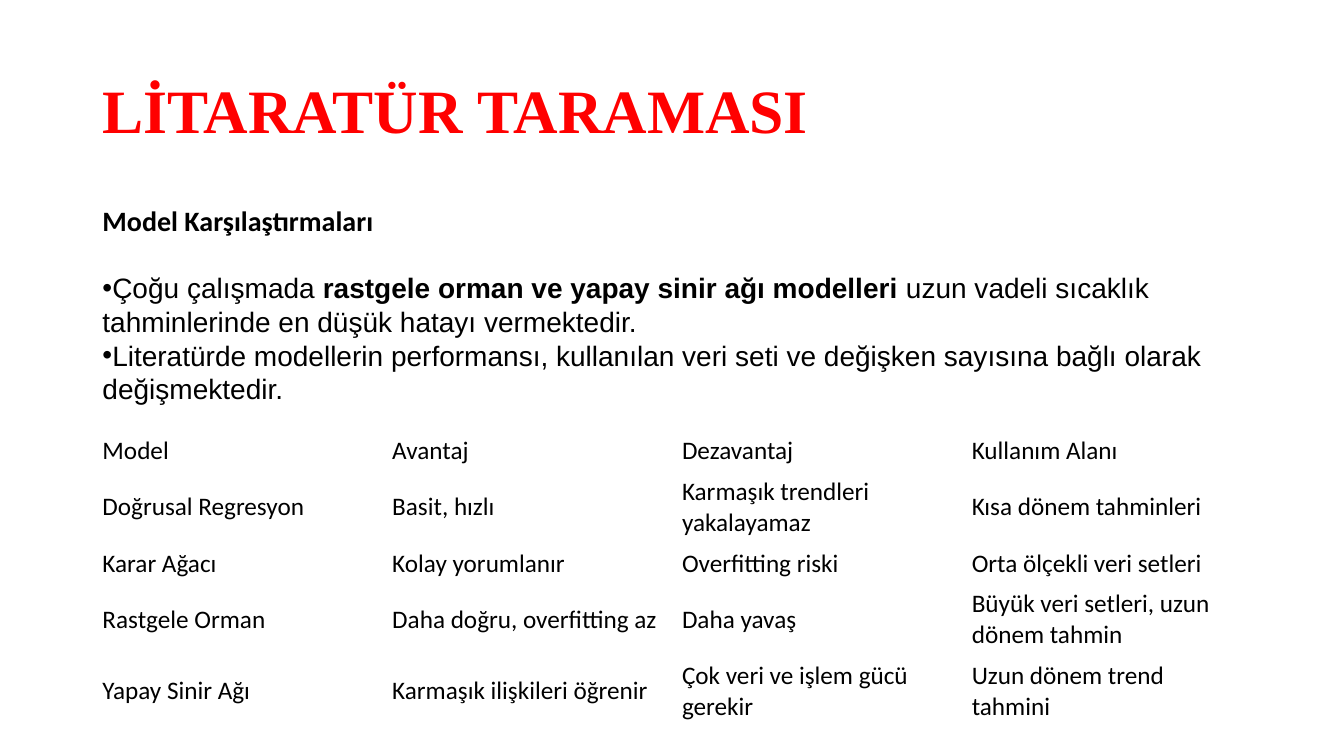
from pptx import Presentation
from pptx import util as u
from pptx.dml.color import RGBColor
from pptx.enum import text
from pptx.oxml.xmlchemy import OxmlElement

COLORS = {"title": "FF0000", "text": "000000"}
LEFT, WIDTH = 66, 828
TITLE_FONT = {"name": "Times New Roman", "size": u.Pt(44), "bold": True}
HEADING_FONT = {"name": "Calibri", "size": u.Pt(20), "bold": True}
BULLET_FONT = {"name": "Arial", "size": u.Pt(20), "bold": False}
CELL_FONT = {"name": "Calibri", "size": u.Pt(18), "bold": False}

HEADING = "Model Karşılaştırmaları"
BULLETS = [
    [("Çoğu çalışmada ", False),
     ("rastgele orman ve yapay sinir ağı modelleri", True),
     (" uzun vadeli sıcaklık tahminlerinde en düşük hatayı vermektedir.", False)],
    [("Literatürde modellerin performansı, kullanılan veri seti ve değişken "
      "sayısına bağlı olarak değişmektedir.", False)],
]
MODELS = [
    ("Model", "Avantaj", "Dezavantaj", "Kullanım Alanı"),
    ("Doğrusal Regresyon", "Basit, hızlı", "Karmaşık trendleri yakalayamaz",
     "Kısa dönem tahminleri"),
    ("Karar Ağacı", "Kolay yorumlanır", "Overfitting riski",
     "Orta ölçekli veri setleri"),
    ("Rastgele Orman", "Daha doğru, overfitting az", "Daha yavaş",
     "Büyük veri setleri, uzun dönem tahmin"),
    ("Yapay Sinir Ağı", "Karmaşık ilişkileri öğrenir",
     "Çok veri ve işlem gücü gerekir", "Uzun dönem trend tahmini"),
]
ROW_HEIGHTS = (26.64, 46.08, 26.64, 46.08, 46.08)


def set_all(obj, values):
    for name, value in values.items():
        setattr(obj, name, value)


def place(sp, left, top, width, height):
    set_all(sp, {"left": u.Pt(left), "top": u.Pt(top),
                 "width": u.Pt(width), "height": u.Pt(height)})


def add_run(p, content, font, color="text"):
    r = p.add_run()
    r.text = content
    set_all(r.font, font)
    r.font.color.rgb = RGBColor.from_string(COLORS[color])


def format_paragraph(p, **values):
    set_all(p, {"alignment": text.PP_ALIGN.LEFT, "space_before": u.Pt(0),
                "space_after": u.Pt(0), **values})


def flush_left(p, bulleted):
    pPr = p._p.get_or_add_pPr()
    pPr.set("marL", "0")
    pPr.set("indent", "0")
    bullet = OxmlElement("a:buChar" if bulleted else "a:buNone")
    if bulleted:
        bullet.set("char", "•")
    pPr.append(bullet)


def fill_title(sp):
    place(sp, LEFT, 28.8, WIDTH, 104.4)
    tf = sp.text_frame
    set_all(tf, {"vertical_anchor": text.MSO_ANCHOR.MIDDLE,
                 "auto_size": text.MSO_AUTO_SIZE.NONE})
    p = tf.paragraphs[0]
    format_paragraph(p, line_spacing=0.9)
    add_run(p, "LİTARATÜR TARAMASI", TITLE_FONT, "title")


def fill_body(sp):
    place(sp, LEFT, 141.84, 841, 174.24)
    tf = sp.text_frame
    set_all(tf, {"vertical_anchor": text.MSO_ANCHOR.TOP,
                 "auto_size": text.MSO_AUTO_SIZE.NONE, "word_wrap": True})
    p = tf.paragraphs[0]
    format_paragraph(p, space_after=u.Pt(24))
    flush_left(p, False)
    add_run(p, HEADING, HEADING_FONT)
    for parts in BULLETS:
        p = tf.add_paragraph()
        format_paragraph(p, line_spacing=u.Pt(24))
        flush_left(p, True)
        for content, bold in parts:
            add_run(p, content, {**BULLET_FONT, "bold": bold})


def add_model_table(slide):
    frame = slide.shapes.add_table(
        len(MODELS), len(MODELS[0]), u.Pt(LEFT), u.Pt(307.44),
        u.Pt(WIDTH), u.Pt(sum(ROW_HEIGHTS)))
    table = frame.table
    set_all(table, {"first_row": False, "horz_banding": False})
    for row, height, labels in zip(table.rows, ROW_HEIGHTS, MODELS):
        row.height = u.Pt(height)
        for cell, label in zip(row.cells, labels):
            cell.fill.background()
            cell.vertical_anchor = text.MSO_ANCHOR.MIDDLE
            add_run(cell.text_frame.paragraphs[0], label, CELL_FONT)


def main():
    prs = Presentation()
    set_all(prs, {"slide_width": u.Pt(960), "slide_height": u.Pt(540)})
    slide = prs.slides.add_slide(prs.slide_layouts[1])
    fill_title(slide.shapes.title)
    fill_body(slide.placeholders[1])
    add_model_table(slide)
    prs.save("out.pptx")


if __name__ == "__main__":
    main()
